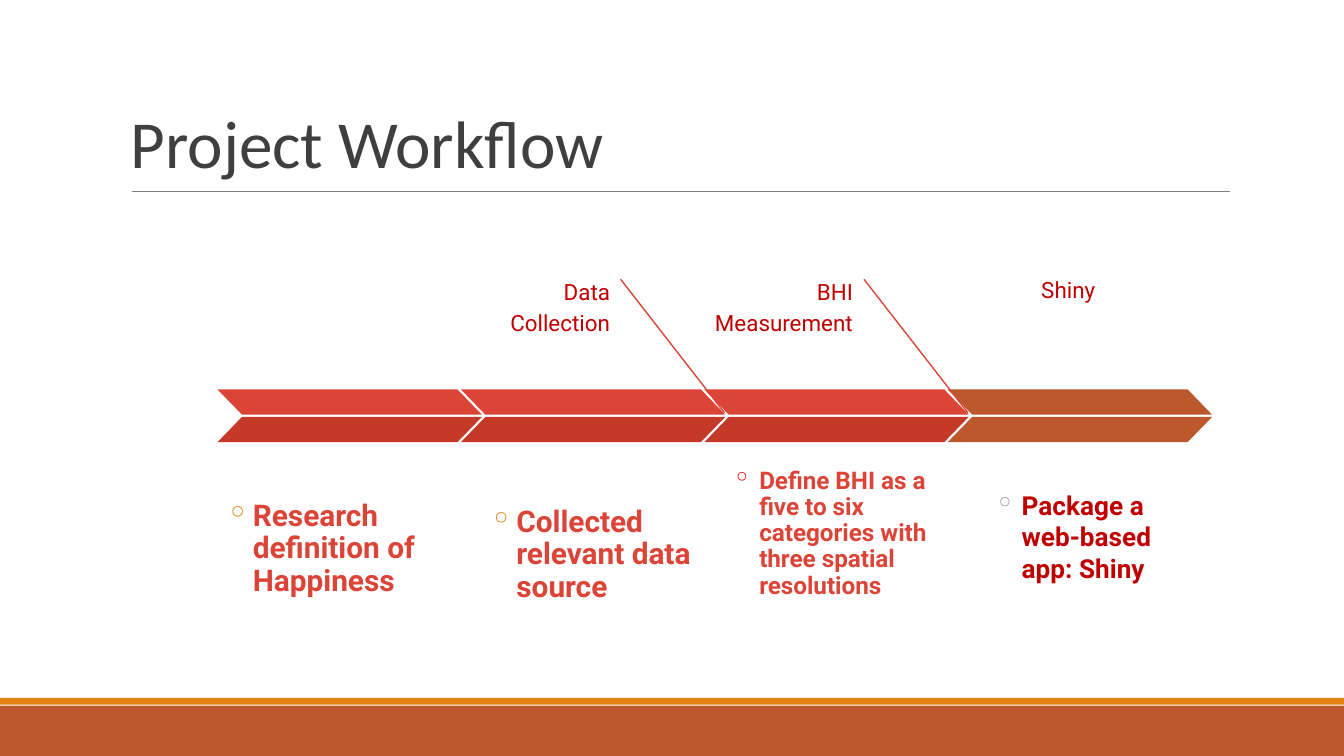
import pptx
import pptx.util
import pptx.dml.color
import pptx.enum.shapes
import pptx.enum.text
import pptx.oxml.xmlchemy

Cm, Pt = pptx.util.Cm, pptx.util.Pt
FORMS = pptx.enum.shapes.MSO_SHAPE
ALIGN = pptx.enum.text.PP_ALIGN
ANCHOR = pptx.enum.text.MSO_ANCHOR

COLORS = {
    "red": "DB4437", "dark": "C53929", "brown": "BD582C", "gold": "E48312",
    "wine": "C00000", "cherry": "CC0000", "silver": "999999",
    "gray": "7F7F7F", "ink": "3F3F3F",
}
TITLE = {"name": "Calibri", "size": Pt(36)}
LABEL = {"name": "Roboto", "size": Pt(12)}
NOTE = {"name": "Roboto", "bold": True}

LEFT, PITCH, WIDTH = 4.11, 4.6, 5.0
HALF, TOP, LOW = 0.48, 7.36, 7.88

# Each step: chevron colours, label (text, left, width), note (text, box, size,
# line spacing, anchor, colour, bullet colour)
STEPS = [
    {"fills": ("red", "dark"), "label": None,
     "note": ("Research definition of Happiness", (3.38, 9.14, 5.74, 2.51),
              16, 0.9, ANCHOR.TOP, "red", "gold")},
    {"fills": ("red", "dark"), "label": ("Data Collection", 8.36, 3.5),
     "note": ("Collected relevant data source", (8.36, 8.46, 5.2, 3.28),
              16, 0.9, ANCHOR.BOTTOM, "red", "gold")},
    {"fills": ("red", "dark"), "label": ("BHI Measurement", 12.95, 3.5),
     "note": ("Define BHI as a five to six categories with three spatial resolutions",
              (12.95, 8.38, 5.2, 3.28),
              13, 0.9, ANCHOR.BOTTOM, "red", "cherry")},
    {"fills": ("brown", "brown"), "label": ("Shiny", 17.91, 3.12),
     "note": ("Package a web-based app: Shiny", (17.91, 8.92, 5.0, 2.54),
              14, 1.0, ANCHOR.TOP, "wine", "silver")},
]
ORDER = (0, 3, 2, 1)
LINED = (1, 2)


def put(target, values):
    for key, value in values.items():
        setattr(target, key, value)


def tint(name):
    return pptx.dml.color.RGBColor.from_string(COLORS[name])


def node(tag, **values):
    """Make an XML element with the given attributes."""
    item = pptx.oxml.xmlchemy.OxmlElement(tag)
    for key, value in values.items():
        item.set(key, value)
    return item


class Painter:
    def __init__(self, slide):
        self.shapes = slide.shapes

    def block(self, form, box, color):
        shape = self.shapes.add_shape(form, *map(Cm, box))
        shape.shadow.inherit = False
        shape.fill.solid()
        shape.fill.fore_color.rgb = tint(color)
        shape.line.fill.background()
        return shape

    def slant(self, box, color, flip=False):
        shape = self.block(FORMS.PARALLELOGRAM, box, color)
        shape.adjustments[0] = 0.97
        if flip:
            shape._element.spPr.xfrm.set("flipH", "1")

    def line(self, start, end, color):
        line = self.shapes.add_connector(
            pptx.enum.shapes.MSO_CONNECTOR.STRAIGHT, *map(Cm, start + end))
        line.line.color.rgb = tint(color)
        line.line.width = Pt(0.75)
        line._element.spPr.append(node("a:effectLst"))

    def text(self, words, box, font, color, inset=0.33,
             anchor=ANCHOR.TOP, align=ALIGN.LEFT, space=1.0):
        frame = self.shapes.add_textbox(*map(Cm, box)).text_frame
        put(frame, {"word_wrap": True, "vertical_anchor": anchor})
        put(frame, {"margin_" + side: Cm(inset)
                    for side in ("left", "top", "right", "bottom")})
        para = frame.paragraphs[0]
        put(para, {"alignment": align, "line_spacing": space})
        run = para.add_run()
        run.text = words
        put(run.font, font)
        run.font.color.rgb = tint(color)
        return para

    def bullet(self, para, color):
        """Give the paragraph a hanging ring bullet."""
        props = para._p.get_or_add_pPr()
        props.set("marL", str(int(Cm(1.07))))
        props.set("indent", str(int(Cm(-0.51))))
        paint = node("a:buClr")
        paint.append(node("a:srgbClr", val=COLORS[color]))
        props.extend([paint, node("a:buChar", char="◦")])

    def step(self, index):
        """Draw one stage: label, note, pointer line and chevron."""
        data = STEPS[index]
        left = LEFT + PITCH * index
        if data["label"]:
            words, x, width = data["label"]
            self.text(words, (x, 4.85, width, 1.0), LABEL, "wine",
                      align=ALIGN.RIGHT, space=1.15)
        words, box, size, space, anchor, color, ring = data["note"]
        para = self.text(words, box, {**NOTE, "size": Pt(size)}, color,
                         anchor=anchor, space=space)
        self.bullet(para, ring)
        if index in LINED:
            self.line((left + 3.02, 5.28), (left + 4.98, 7.8), "red")
        upper, lower = data["fills"]
        self.slant((left, TOP, WIDTH, HALF), upper, flip=True)
        self.slant((left, LOW, WIDTH, HALF), lower)


def main():
    deck = pptx.Presentation()
    put(deck, {"slide_width": Cm(25.4), "slide_height": Cm(14.29)})
    painter = Painter(deck.slides.add_slide(deck.slide_layouts[6]))
    painter.block(FORMS.RECTANGLE, (0, 13.34, 25.4, 0.95), "brown")
    painter.block(FORMS.RECTANGLE, (0, 13.19, 25.4, 0.13), "gold")
    painter.line((2.49, 3.62), (23.24, 3.62), "gray")
    painter.text("Project Workflow", (2.29, 0.61, 20.95, 3.02), TITLE, "ink",
                 inset=0.18, anchor=ANCHOR.BOTTOM, space=0.85)
    for index in ORDER:
        painter.step(index)
    deck.save("out.pptx")


if __name__ == "__main__":
    main()
